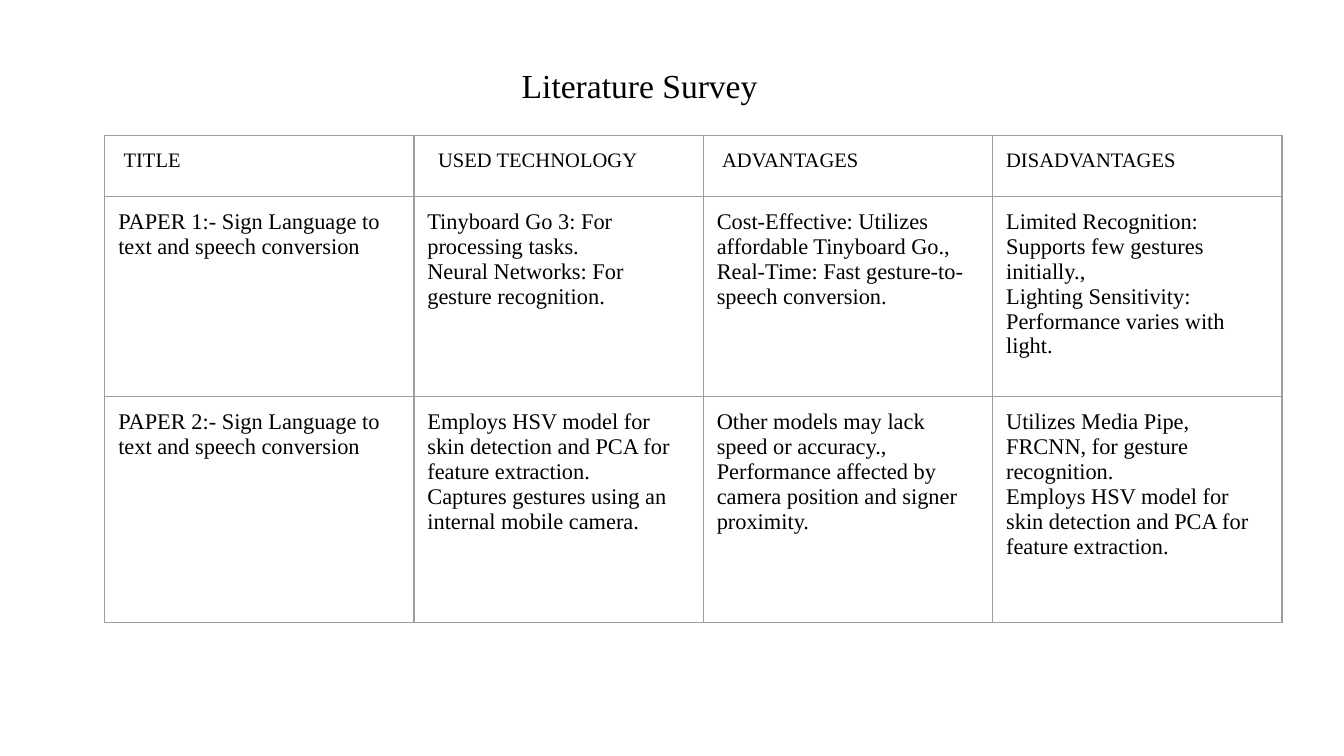
from dataclasses import dataclass

from lxml.etree import SubElement
from pptx import Presentation
from pptx.dml.color import RGBColor
from pptx.enum.text import MSO_ANCHOR, PP_ALIGN
from pptx.oxml.ns import qn
from pptx.util import Inches, Pt

COLORS = {"text": "000000", "border": "9E9E9E", "background": "FFFFFF"}
FONT = "Times New Roman"
INSET = 0.1
BORDER_WIDTH = Pt(0.75)
SLIDE_WIDTH = 10
SLIDE_HEIGHT = SLIDE_WIDTH * 9 / 16
SURVEY_WIDTH = 8.76
TITLE_WIDTH = 2.3
COLUMN_WIDTHS = [TITLE_WIDTH] + [(SURVEY_WIDTH - TITLE_WIDTH) / 3] * 3


@dataclass
class Heading:
    label: str
    indent: float = 0


@dataclass
class Paper:
    cells: list[list[str]]
    height: float


HEADING_HEIGHT = 0.45
HEADINGS = [
    Heading("TITLE", 0.04),
    Heading("USED TECHNOLOGY", 0.08),
    Heading("ADVANTAGES", 0.04),
    Heading("DISADVANTAGES"),
]
HSV_METHOD = "Employs HSV model for skin detection and PCA for feature extraction."
TOPIC = "Sign Language to text and speech conversion"
PAPERS = [
    Paper([
        [f"PAPER 1:- {TOPIC}"],
        ["Tinyboard Go 3: For processing tasks.",
         "Neural Networks: For gesture recognition."],
        ["Cost-Effective: Utilizes affordable Tinyboard Go.,",
         "Real-Time: Fast gesture-to-speech conversion."],
        ["Limited Recognition: Supports few gestures initially.,",
         "Lighting Sensitivity: Performance varies with light."],
    ], 1.49),
    Paper([
        [f"PAPER 2:- {TOPIC}"],
        [HSV_METHOD, "Captures gestures using an internal mobile camera."],
        ["Other models may lack speed or accuracy.,",
         "Performance affected by camera position and signer proximity."],
        ["Utilizes Media Pipe, FRCNN, for gesture recognition.", HSV_METHOD],
    ], 1.68),
]


def write_text(frame, lines: list[str], size: float, align=PP_ALIGN.LEFT) -> None:
    frame.text = "\n".join(lines)
    font_format = {"name": FONT, "size": Pt(size), "bold": False}
    for paragraph in frame.paragraphs:
        paragraph.alignment = align
        for run in paragraph.runs:
            for attribute, value in font_format.items():
                setattr(run.font, attribute, value)
            run.font.color.rgb = RGBColor.from_string(COLORS["text"])


def set_insets(target, left: float = INSET) -> None:
    insets = {"left": left, "top": INSET, "right": INSET, "bottom": INSET}
    for side, inset in insets.items():
        setattr(target, f"margin_{side}", Inches(inset))


def add_borders(cell) -> None:
    properties = cell._tc.get_or_add_tcPr()
    for position, side in enumerate("LRTB"):
        line = SubElement(properties, qn(f"a:ln{side}"), w=str(BORDER_WIDTH))
        fill = SubElement(line, qn("a:solidFill"))
        SubElement(fill, qn("a:srgbClr"), val=COLORS["border"])
        properties.insert(position, line)  # borders must precede the cell fill


def fill_cell(cell, lines: list[str], size: float, indent: float = 0) -> None:
    write_text(cell.text_frame, lines, size)
    set_insets(cell, left=INSET + indent)
    cell.vertical_anchor = MSO_ANCHOR.TOP
    cell.fill.background()
    add_borders(cell)


def add_title(slide) -> None:
    title = slide.shapes.title
    box = {"left": 0.1, "top": 0.38, "width": 9.32, "height": 0.63}
    for attribute, length in box.items():
        setattr(title, attribute, Inches(length))
    frame = title.text_frame
    frame.vertical_anchor = MSO_ANCHOR.TOP
    set_insets(frame)
    write_text(frame, ["Literature Survey"], 18, PP_ALIGN.CENTER)


def add_survey(slide) -> None:
    heights = [HEADING_HEIGHT] + [paper.height for paper in PAPERS]
    survey = slide.shapes.add_table(
        len(heights), len(COLUMN_WIDTHS), Inches(0.78), Inches(1.01),
        Inches(SURVEY_WIDTH), Inches(sum(heights))).table
    survey.first_row = survey.horz_banding = False
    for column, width in zip(survey.columns, COLUMN_WIDTHS):
        column.width = Inches(width)
    for row, height in zip(survey.rows, heights):
        row.height = Inches(height)
    for column, heading in enumerate(HEADINGS):
        fill_cell(survey.cell(0, column), [heading.label], 11, heading.indent)
    for row, paper in enumerate(PAPERS, start=1):
        for column, lines in enumerate(paper.cells):
            fill_cell(survey.cell(row, column), lines, 12)


def main() -> None:
    deck = Presentation()
    deck.slide_width, deck.slide_height = Inches(SLIDE_WIDTH), Inches(SLIDE_HEIGHT)
    slide = deck.slides.add_slide(deck.slide_layouts[5])
    background = slide.background.fill
    background.solid()
    background.fore_color.rgb = RGBColor.from_string(COLORS["background"])
    add_title(slide)
    add_survey(slide)
    deck.save("out.pptx")


if __name__ == "__main__":
    main()
